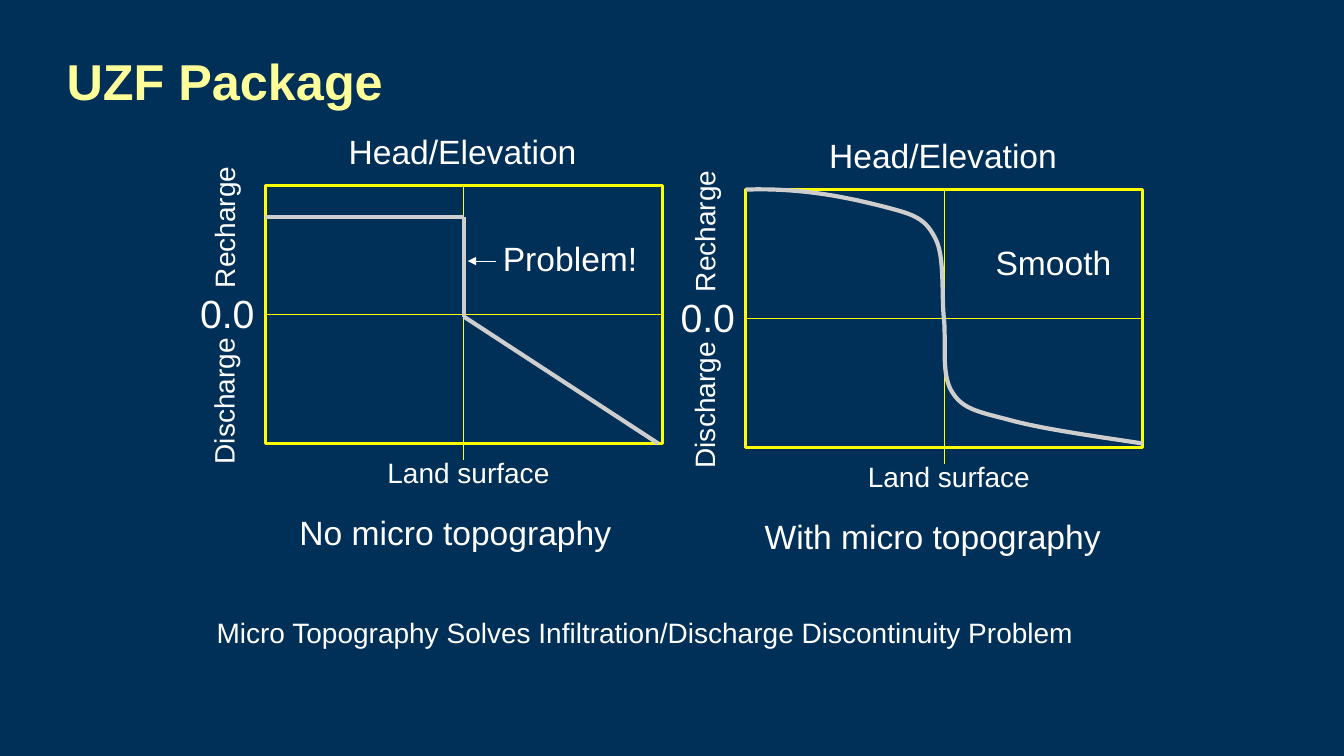
"""Build the UZF Package slide comparing discharge with and without micro topography."""
from dataclasses import dataclass

from lxml import etree
from pptx import Presentation
from pptx.dml.color import RGBColor
from pptx.enum.shapes import MSO_CONNECTOR, MSO_SHAPE
from pptx.enum.text import MSO_ANCHOR, MSO_AUTO_SIZE, PP_ALIGN
from pptx.oxml.ns import qn
from pptx.util import Pt

STRAIGHT = MSO_CONNECTOR.STRAIGHT
RECTANGLE = MSO_SHAPE.RECTANGLE
MIDDLE = MSO_ANCHOR.MIDDLE
GROW = MSO_AUTO_SIZE.SHAPE_TO_FIT_TEXT
LEFT = PP_ALIGN.LEFT
TOP_SIDE, LEFT_SIDE, RIGHT_SIDE = 0, 1, 3


@dataclass(frozen=True)
class Theme:
    font: str = "Arial"
    background: RGBColor = RGBColor(0x00, 0x2F, 0x57)
    heading: RGBColor = RGBColor(0xFF, 0xFF, 0x99)
    text: RGBColor = RGBColor(0xFF, 0xFF, 0xFF)
    frame: RGBColor = RGBColor(0xFF, 0xFF, 0x00)
    curve: RGBColor = RGBColor(0xCE, 0xCE, 0xCE)
    title_size: int = 36
    zero_size: int = 28
    label_size: int = 24
    axis_size: int = 20


THEME = Theme()


def write(holder, text, size=THEME.axis_size, color=THEME.text, bold=False):
    paragraph = holder.text_frame.paragraphs[0]
    paragraph.alignment = LEFT
    run = paragraph.add_run()
    run.text = text
    run.font.name = THEME.font
    run.font.size = Pt(size)
    run.font.bold = bold
    run.font.color.rgb = color


def draw_line(start, end, color, weight):
    line = slide.shapes.add_connector(STRAIGHT, *(Pt(v) for v in (*start, *end)))
    line.line.color.rgb = color
    line.line.width = Pt(weight)
    etree.SubElement(line._element.spPr, qn("a:effectLst"))
    return line


deck = Presentation()
deck.slide_width, deck.slide_height = Pt(960), Pt(540)
slide = deck.slides.add_slide(deck.slide_layouts[5])
slide.background.fill.solid()
slide.background.fill.fore_color.rgb = THEME.background

title = slide.shapes.title
title.left, title.top, title.width, title.height = Pt(40.3), Pt(12.2), Pt(872), Pt(90)
title.text_frame.vertical_anchor = MIDDLE
write(title, "UZF Package", size=THEME.title_size, color=THEME.heading, bold=True)

plot_width, plot_height = 283.7, 184.3
center_x, zero_y = plot_width / 2, plot_height / 2
axis_end = 195.8
step_y = 22.3
abrupt_origin = (189.4, 132.5)
smooth_origin = (532.6, 135.4)

# text, left, top, width, size, rotation
common_labels = [
    ("Head/Elevation", 52.5, -42.5, 178.5, THEME.label_size, 0),
    ("Land surface", 80.2, 189, 131, THEME.axis_size, 0),
    ("Discharge", -82.3, 138.2, 105, THEME.axis_size, 270),
    ("Recharge", -80.6, 13.7, 102.2, THEME.axis_size, 270),
    ("0.0", -53.6, 70.6, 54, THEME.zero_size, 0),
]
panels = [
    (abrupt_origin, [
        ("Problem!", 162.7, 33.8, 111.6, THEME.label_size, 0),
        ("No micro topography", 17.3, 229.7, 246.2, THEME.label_size, 0),
    ]),
    (smooth_origin, [
        ("Smooth", 171.4, 33.8, 98, THEME.label_size, 0),
        ("With micro topography", 6.5, 229.7, 263.5, THEME.label_size, 0),
    ]),
]
conclusion = ("Micro Topography Solves Infiltration/Discharge Discontinuity Problem",
              147.6, 436.3, 631.4, THEME.axis_size, 0)

placed_labels = [((0, 0), conclusion)]
for (left, top), own_labels in panels:
    plot = slide.shapes.add_shape(RECTANGLE, Pt(left), Pt(top), Pt(plot_width), Pt(plot_height))
    plot.shadow.inherit = False
    plot.fill.background()
    plot.line.color.rgb = THEME.frame
    plot.line.width = Pt(2.25)

    land_surface = draw_line((left + center_x, top), (left + center_x, top + axis_end),
                             THEME.frame, 0.75)
    land_surface.begin_connect(plot, TOP_SIDE)
    zero_line = draw_line((left, top + zero_y), (left + plot_width, top + zero_y),
                          THEME.frame, 0.75)
    zero_line.begin_connect(plot, LEFT_SIDE)
    zero_line.end_connect(plot, RIGHT_SIDE)
    placed_labels += [((left, top), label) for label in common_labels + own_labels]

for (left, top), (text, dx, dy, width, size, rotation) in placed_labels:
    label_box = slide.shapes.add_textbox(Pt(left + dx), Pt(top + dy),
                                         Pt(width), Pt(size * 1.2 + 7.2))
    label_box.rotation = rotation
    label_box.text_frame.word_wrap = False
    label_box.text_frame.auto_size = GROW
    write(label_box, text, size=size)

left, top = abrupt_origin
abrupt_points = [(left, top + step_y), (left + center_x, top + step_y),
                 (left + center_x, top + 93.6), (left + 280.8, top + plot_height)]
for start, end in zip(abrupt_points, abrupt_points[1:]):
    draw_line(start, end, THEME.curve, 3)

problem_arrow = draw_line((left + 164.9, top + 54), (left + 144.7, top + 54), THEME.text, 0.75)
etree.SubElement(problem_arrow.line._get_or_add_ln(), qn("a:tailEnd"), type="triangle")

left, top = smooth_origin
controls = [
    (0, 0), (42.5, -1.4), (76.3, 6.5), (98.6, 12.2), (121.7, 18), (128.2, 20.9),
    (135.4, 34.6), (142.6, 48.2), (139.7, 74.9), (141.8, 93.6), (143.3, 111.6),
    (139.7, 132.5), (147.6, 144.7), (154.8, 156.2), (164.2, 158.4), (187.2, 164.2),
    (209.5, 170.6), (246.2, 175.7), (283.7, 181.4),
]
steps = 16
smooth_points = []
for first in range(0, len(controls) - 1, 3):
    for step in range(1, steps + 1):
        t = step / steps
        weights = ((1 - t) ** 3, 3 * t * (1 - t) ** 2, 3 * t ** 2 * (1 - t), t ** 3)
        x, y = (sum(w * c for w, c in zip(weights, axis))
                for axis in zip(*controls[first:first + 4]))
        smooth_points.append((Pt(left + x), Pt(top + y)))

outline = slide.shapes.build_freeform(Pt(left), Pt(top))
outline.add_line_segments(smooth_points, close=False)
smooth_curve = outline.convert_to_shape()
smooth_curve.shadow.inherit = False
smooth_curve.fill.background()
smooth_curve.line.color.rgb = THEME.curve
smooth_curve.line.width = Pt(3)

deck.save("out.pptx")
